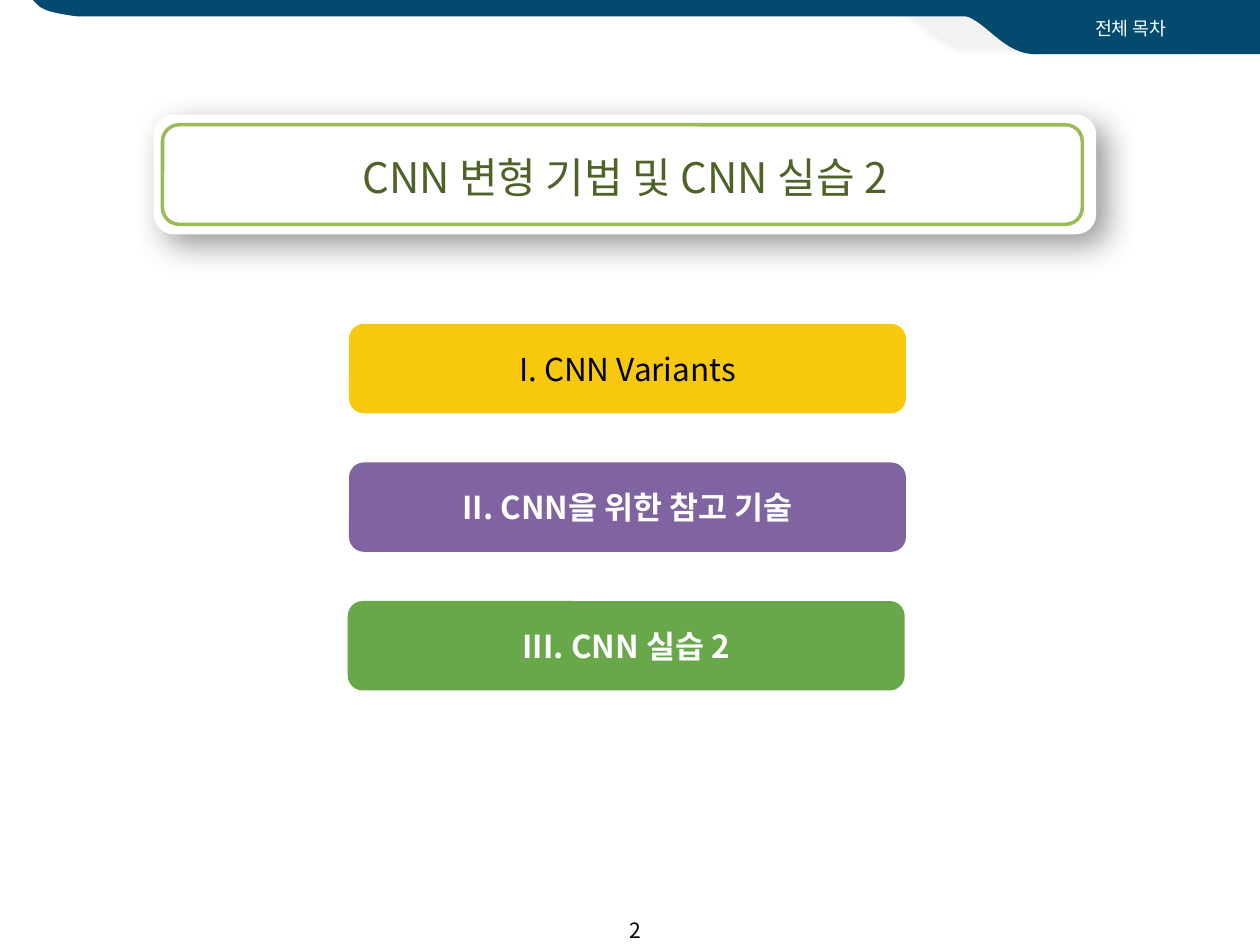
import pptx
import pptx.dml.color
import pptx.enum.shapes
import pptx.enum.text
import pptx.oxml
import pptx.oxml.ns
import pptx.util
from pptx.util import Inches

FONT = "Noto Sans CJK KR"
COLORS = {
    "white": "FFFFFF",
    "black": "000000",
    "navy": "044A6E",
    "light gray": "F2F2F2",
    "olive": "4F6228",
    "lime": "9BBB59",
    "yellow": "F7C80D",
    "purple": "8064A2",
    "green": "68A84A",
}
CURVE_STEPS = 24


def rgb(name):
    return pptx.dml.color.RGBColor.from_string(COLORS[name])


def curve_points(start, control_1, control_2, end):
    """Points along a cubic curve, without its start."""
    points = []
    for step in range(1, CURVE_STEPS + 1):
        t = step / CURVE_STEPS
        weights = ((1 - t) ** 3, 3 * t * (1 - t) ** 2, 3 * t**2 * (1 - t), t**3)
        corners = (start, control_1, control_2, end)
        points.append(tuple(sum(w * c[axis] for w, c in zip(weights, corners)) for axis in (0, 1)))
    return points


def set_fill(shape, fill):
    """Fill the shape flat, with no outline and no shadow."""
    shape.shadow.inherit = False
    shape.line.fill.background()
    if fill:
        shape.fill.solid()
        shape.fill.fore_color.rgb = rgb(fill)
    else:
        shape.fill.background()


def add_shadow(shape, opacity, blur, distance, angle):
    effects = shape._element.spPr.find(pptx.oxml.ns.qn("a:effectLst"))
    effects.append(pptx.oxml.parse_xml(
        f'<a:outerShdw {pptx.oxml.ns.nsdecls("a")} blurRad="{pptx.util.Pt(blur)}" '
        f'dist="{pptx.util.Pt(distance)}" dir="{angle * 60000}" algn="ctr" rotWithShape="0">'
        f'<a:srgbClr val="{COLORS["black"]}"><a:alpha val="{opacity * 1000}"/></a:srgbClr>'
        '</a:outerShdw>'))


def add_band(slide, left, right, top, curve, fill):
    """Header band, flat on top, whose left end follows a curve."""
    outline = [(right, top), (right, curve[0][1]), curve[0], *curve_points(*curve)]
    builder = slide.shapes.build_freeform(Inches(left), Inches(top), scale=1.0)
    builder.add_line_segments([(Inches(x), Inches(y)) for x, y in outline], close=True)
    band = builder.convert_to_shape()
    set_fill(band, fill)
    return band


def add_header_tab(slide, left, top, fill):
    curve = [(left + 0.62, top + 0.31), (left + 0.33, top + 0.33),
             (left + 0.2, top + 0.03), (left, top)]
    return add_band(slide, left, left + 2.37, top, curve, fill)


def add_rounded_box(slide, left, top, width, height, fill=None):
    box = slide.shapes.add_shape(
        pptx.enum.shapes.MSO_SHAPE.ROUNDED_RECTANGLE,
        Inches(left), Inches(top), Inches(width), Inches(height))
    set_fill(box, fill)
    return box


def set_text(shape, text, size, color, bold=False, anchor=pptx.enum.text.MSO_ANCHOR.MIDDLE):
    frame = shape.text_frame
    frame.word_wrap = True
    frame.vertical_anchor = anchor
    frame.text = text
    paragraph = frame.paragraphs[0]
    paragraph.alignment = pptx.enum.text.PP_ALIGN.CENTER
    run = paragraph.runs[0]
    run.font.size = pptx.util.Pt(size)
    run.font.name = FONT
    run.font.bold = bold
    run.font.color.rgb = rgb(color)
    east_asian = pptx.oxml.parse_xml(
        f'<a:ea {pptx.oxml.ns.nsdecls("a")} typeface="{FONT}"/>')
    run.font._element.find(pptx.oxml.ns.qn("a:latin")).addnext(east_asian)


def add_label(slide, left, top, width, height, text, size, color,
              anchor=pptx.enum.text.MSO_ANCHOR.TOP):
    label = slide.shapes.add_textbox(Inches(left), Inches(top), Inches(width), Inches(height))
    set_text(label, text, size, color, anchor=anchor)


def add_header(slide):
    back_tab = add_header_tab(slide, 7.13, 0.06, "light gray")
    add_shadow(back_tab, opacity=5, blur=4, distance=3, angle=135)
    add_header_tab(slide, 7.63, 0.12, "navy")
    strip_curve = [(0.61, 0.13), (0.3, 0.09), (0.32, 0.05), (0.26, 0)]
    add_band(slide, 0.26, 10, 0, strip_curve, "navy")
    add_label(slide, 8.07, 0.09, 1.81, 0.28, "전체 목차", 10.5, "white")


def add_title(slide):
    card = add_rounded_box(slide, 1.22, 0.91, 7.48, 0.95, "white")
    add_shadow(card, opacity=40, blur=18, distance=8, angle=45)
    add_label(slide, 1.31, 1.15, 7.3, 0.5, "CNN 변형 기법 및 CNN 실습 2", 24, "olive")
    frame = add_rounded_box(slide, 1.29, 0.99, 7.3, 0.79)
    frame.line.color.rgb = rgb("lime")
    frame.line.width = pptx.util.Pt(2)


def add_chapters(slide):
    chapters = [
        ("I. CNN Variants", 2.77, "yellow", "black", False),
        ("II. CNN을 위한 참고 기술", 2.77, "purple", "white", True),
        ("III. CNN 실습 2", 2.76, "green", "white", True),
    ]
    for index, (text, left, fill, color, bold) in enumerate(chapters):
        box = add_rounded_box(slide, left, 2.57 + 1.1 * index, 4.42, 0.71, fill)
        set_text(box, text, 18, color, bold)


def main():
    presentation = pptx.Presentation()
    presentation.slide_width = Inches(10)
    presentation.slide_height = Inches(7.5)
    slide = presentation.slides.add_slide(presentation.slide_layouts[6])
    add_header(slide)
    add_title(slide)
    add_chapters(slide)
    add_label(slide, 4.69, 7.18, 0.71, 0.4, "2", 12, "black",
              anchor=pptx.enum.text.MSO_ANCHOR.MIDDLE)
    presentation.save("out.pptx")


if __name__ == "__main__":
    main()
